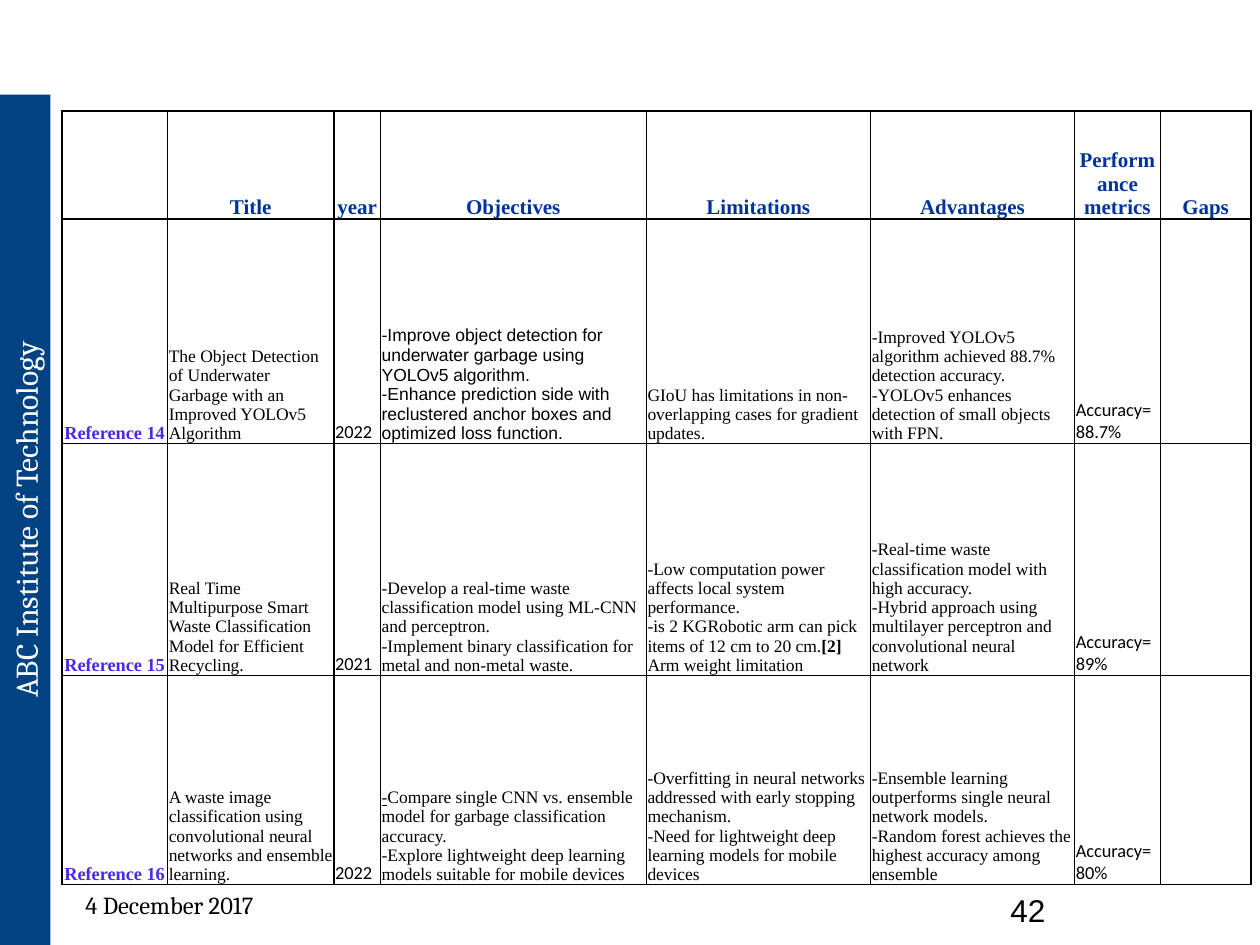
from lxml import etree
from pptx import Presentation
from pptx.dml.color import RGBColor
from pptx.enum.shapes import MSO_SHAPE
from pptx.enum.text import MSO_ANCHOR, PP_ALIGN
from pptx.oxml.ns import qn
from pptx.util import Inches, Pt

RECTANGLE = MSO_SHAPE.RECTANGLE
BOTTOM, MIDDLE, TOP = MSO_ANCHOR.BOTTOM, MSO_ANCHOR.MIDDLE, MSO_ANCHOR.TOP
LEFT, CENTER = PP_ALIGN.LEFT, PP_ALIGN.CENTER

COLORS = {
    "sidebar": "004282",
    "white": "FFFFFF",
    "black": "000000",
    "heading": "003399",
    "reference": "4C29E4",
}
SERIF, SANS, BODY, TITLE = "Times New Roman", "Arial", "Calibri", "Cambria"

COLUMN_WIDTHS = [0.84, 1.32, 0.37, 2.11, 1.78, 1.62, 0.68, 0.72]
ROW_HEIGHTS = [0.86, 1.78, 1.84, 1.66]
HEADINGS = ["", "Title", "year", "Objectives", "Limitations", "Advantages",
            "Performance metrics", "Gaps"]

# Each cell is a list of paragraphs; a tuple is a paragraph of several spans
STUDIES = [
    [["Reference 14"],
     ["The Object Detection of Underwater Garbage with an Improved YOLOv5 Algorithm"],
     ["2022"],
     ["-Improve object detection for underwater garbage using YOLOv5 algorithm.",
      "-Enhance prediction side with reclustered anchor boxes and optimized loss function."],
     ["GIoU has limitations in non-overlapping cases for gradient updates."],
     ["-Improved YOLOv5 algorithm achieved 88.7% detection accuracy.",
      "-YOLOv5 enhances detection of small objects with FPN."],
     ["Accuracy=88.7%"],
     []],
    [["Reference 15"],
     ["Real Time Multipurpose Smart Waste Classification Model for Efficient Recycling."],
     ["2021"],
     ["-Develop a real-time waste classification model using ML-CNN and perceptron.",
      "-Implement binary classification for metal and non-metal waste."],
     ["-Low computation power affects local system performance.",
      ("-is 2 KGRobotic arm can pick items of 12 cm to 20 cm.", "[2]"),
      "Arm weight limitation"],
     ["-Real-time waste classification model with high accuracy.",
      "-Hybrid approach using multilayer perceptron and convolutional neural network"],
     ["Accuracy=89%"],
     []],
    [["Reference 16"],
     ["A waste image classification using convolutional neural networks and ensemble learning."],
     ["2022"],
     [("-", "Compare single CNN vs. ensemble model for garbage classification accuracy."),
      "-Explore lightweight deep learning models suitable for mobile devices"],
     ["-Overfitting in neural networks addressed with early stopping mechanism.",
      "-Need for lightweight deep learning models for mobile devices"],
     ["-Ensemble learning outperforms single neural network models.",
      "-Random forest achieves the highest accuracy among ensemble"],
     ["Accuracy=80%"],
     []],
]

# Style: font, size, colour, bold, alignment
HEADING_STYLE = (SERIF, 12, "heading", True, CENTER)
REFERENCE_STYLE = (SERIF, 10.5, "reference", True, CENTER)
SERIF_STYLE = (SERIF, 10, "black", False, LEFT)
SANS_STYLE = (SANS, 10, "black", False, LEFT)
BODY_STYLE = (BODY, 10.5, "black", False, LEFT)
COLUMN_STYLES = [REFERENCE_STYLE, SERIF_STYLE, BODY_STYLE, SERIF_STYLE,
                 SERIF_STYLE, SERIF_STYLE, BODY_STYLE, BODY_STYLE]


def color(name):
    return RGBColor.from_string(COLORS[name])


def write(frame, paragraphs, style):
    """Fill a text frame with paragraphs in one style."""
    font, size, color_name, bold, alignment = style
    for index, content in enumerate(paragraphs):
        para = frame.add_paragraph() if index else frame.paragraphs[0]
        para.alignment = alignment
        for text in (content if isinstance(content, tuple) else (content,)):
            span = para.add_run()
            span.text = text
            span.font.name = font
            span.font.size = Pt(size)
            span.font.color.rgb = color(color_name)
            span.font.bold = bold or text == "[2]"
            span.font.underline = text == "-"


def add_borders(cell):
    properties = cell._tc.get_or_add_tcPr()
    for index, side in enumerate(("lnL", "lnR", "lnT", "lnB")):
        line = etree.Element(qn(f"a:{side}"), w=str(Pt(1)))
        fill = etree.SubElement(line, qn("a:solidFill"))
        etree.SubElement(fill, qn("a:srgbClr"), val=COLORS["black"])
        properties.insert(index, line)


def fill_cell(cell, paragraphs, style):
    cell.fill.background()
    cell.vertical_anchor = BOTTOM
    cell.margin_left = cell.margin_right = cell.margin_top = Inches(0.01)
    cell.margin_bottom = 0
    write(cell.text_frame, paragraphs, style)
    add_borders(cell)


def add_sidebar(page, left, top, width, height):
    # The band is laid out flat, then turned about its centre
    band = page.shapes.add_shape(
        RECTANGLE, Inches(left + (width - height) / 2),
        Inches(top + (height - width) / 2), Inches(height), Inches(width))
    band.rotation = 270
    band.shadow.inherit = False
    band.fill.solid()
    band.fill.fore_color.rgb = color("sidebar")
    band.line.fill.background()
    band.text_frame.vertical_anchor = MIDDLE
    write(band.text_frame, ["ABC Institute of Technology"],
          (TITLE, 18, "white", False, CENTER))
    band.text_frame.paragraphs[0].space_before = Pt(9)


def add_study_table(page, left, top):
    table = page.shapes.add_table(
        len(ROW_HEIGHTS), len(COLUMN_WIDTHS), Inches(left), Inches(top),
        Inches(sum(COLUMN_WIDTHS)), Inches(sum(ROW_HEIGHTS))).table
    for column, width in zip(table.columns, COLUMN_WIDTHS):
        column.width = Inches(width)
    for row, height in zip(table.rows, ROW_HEIGHTS):
        row.height = Inches(height)
    for column, heading in enumerate(HEADINGS):
        fill_cell(table.cell(0, column), [heading] if heading else [], HEADING_STYLE)
    for row, study in enumerate(STUDIES, start=1):
        for column, paragraphs in enumerate(study):
            style = SANS_STYLE if (row, column) == (1, 3) else COLUMN_STYLES[column]
            fill_cell(table.cell(row, column), paragraphs, style)


def add_label(page, left, top, width, height, text, style, anchor):
    box = page.shapes.add_textbox(
        Inches(left), Inches(top), Inches(width), Inches(height))
    box.text_frame.word_wrap = True
    box.text_frame.vertical_anchor = anchor
    write(box.text_frame, [text], style)


def main():
    deck = Presentation()
    deck.slide_width, deck.slide_height = Inches(10), Inches(7.5)
    page = deck.slides.add_slide(deck.slide_layouts[6])
    add_sidebar(page, 0, 0.75, 0.4, 6.75)
    add_study_table(page, 0.49, 0.88)
    # Footer: date and page number
    add_label(page, 0.49, 6.97, 1.71, 0.42, "4 December 2017",
              (TITLE, 14, "black", False, CENTER), MIDDLE)
    add_label(page, 7.92, 7.02, 2.08, 0.34, "42",
              (SANS, 18, "black", False, LEFT), TOP)
    deck.save("out.pptx")


if __name__ == "__main__":
    main()
